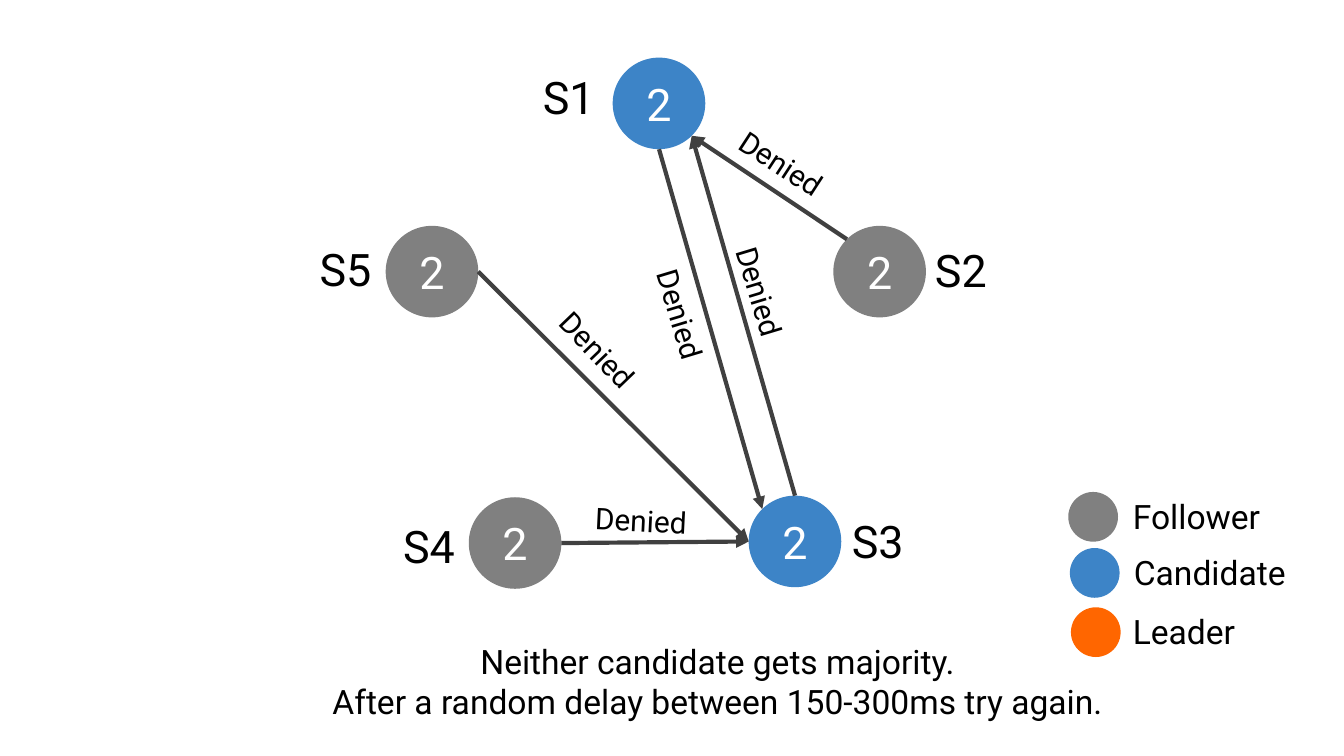
"""Build a slide showing a split vote between two candidate servers."""
from math import cos, radians, sin

from lxml.etree import SubElement
from pptx import Presentation
from pptx.dml.color import RGBColor
from pptx.enum.shapes import MSO_CONNECTOR as Connector, MSO_SHAPE as Shape
from pptx.enum.text import MSO_ANCHOR as Anchor, MSO_AUTO_SIZE as AutoSize, PP_ALIGN as Align
from pptx.oxml.ns import qn
from pptx.util import Cm, Pt

FOLLOWER, CANDIDATE, LEADER = "808080", "3D84C7", "FF6600"
NODE_W, NODE_H, DOT = 1.75, 1.73, 0.94
RIGHT, BOTTOM_RIGHT, BOTTOM, LEFT, TOP_LEFT, TOP = 0, 45, 90, 180, 225, 270

SERVERS = {
    "S1": (11.58, 1.09, CANDIDATE, 10.01, 1.19),
    "S2": (15.75, 4.27, FOLLOWER, 17.42, 4.47),
    "S3": (14.15, 9.37, CANDIDATE, 15.85, 9.58),
    "S4": (8.86, 9.4, FOLLOWER, 7.37, 9.68),
    "S5": (7.29, 4.27, FOLLOWER, 5.79, 4.45),
}
LEGEND = [
    ("Follower", FOLLOWER, 20.19, 9.3, 21.16, 2.97),
    ("Candidate", CANDIDATE, 20.22, 10.36, 21.18, 3.48),
    ("Leader", LEADER, 20.24, 11.48, 21.16, 2.54),
]
REPLIES = [
    ("S2", TOP_LEFT, "S1", BOTTOM_RIGHT, 13.64, 2.64, 33.1),
    ("S5", RIGHT, "S3", LEFT, 10.16, 6.17, 46.1),
    ("S4", RIGHT, "S3", LEFT, 11, 9.37, 2.9),
    ("S1", BOTTOM, "S3", TOP_LEFT, 11.71, 5.51, 73.2),
    ("S3", TOP, "S1", BOTTOM_RIGHT, 13.21, 5.08, 73.2),
]
OUTCOME = "Neither candidate gets majority.\nAfter a random delay between 150-300ms try again."


def color(code):
    return RGBColor.from_string(code)


def rim(server, angle):
    left, top = SERVERS[server][:2]
    turn = radians(angle)
    return left + NODE_W / 2 * (1 + cos(turn)), top + NODE_H / 2 * (1 + sin(turn))


class Diagram:
    def __init__(self, slide, font="Roboto", ink="000000", stroke="404040"):
        self.slide, self.font, self.ink, self.stroke = slide, font, ink, stroke

    def set_words(self, frame, words, size, ink, align):
        frame.text = words
        for paragraph in frame.paragraphs:
            paragraph.alignment = align
            for run in paragraph.runs:
                run.font.name, run.font.size = self.font, Pt(size)
                run.font.color.rgb = color(ink)

    def circle(self, left, top, width, height, fill, term=""):
        disc = self.slide.shapes.add_shape(Shape.OVAL, Cm(left), Cm(top), Cm(width), Cm(height))
        disc.shadow.inherit = False
        disc.fill.solid()
        disc.fill.fore_color.rgb = color(fill)
        disc.line.fill.background()
        if term:
            disc.text_frame.vertical_anchor = Anchor.MIDDLE
            self.set_words(disc.text_frame, term, 24, "FFFFFF", Align.CENTER)

    def label(self, words, left, top, width, height, size, align=Align.LEFT, rotation=0):
        box = self.slide.shapes.add_textbox(Cm(left), Cm(top), Cm(width), Cm(height))
        box.rotation = rotation
        box.text_frame.word_wrap = False
        box.text_frame.auto_size = AutoSize.SHAPE_TO_FIT_TEXT
        self.set_words(box.text_frame, words, size, self.ink, align)

    def arrow(self, start, end):
        link = self.slide.shapes.add_connector(
            Connector.STRAIGHT, *(Cm(length) for length in (*start, *end)))
        link.line.color.rgb = color(self.stroke)
        link.line.width = Pt(2.25)
        properties = link._element.spPr
        SubElement(properties.find(qn("a:ln")), qn("a:tailEnd"), type="triangle")
        SubElement(properties, qn("a:effectLst"))


def main():
    deck = Presentation()
    deck.slide_width, deck.slide_height = Cm(25.4), Cm(14.29)
    diagram = Diagram(deck.slides.add_slide(deck.slide_layouts[6]))

    for server, (left, top, role, name_left, name_top) in SERVERS.items():
        diagram.circle(left, top, NODE_W, NODE_H, role, "2")
        diagram.label(server, name_left, name_top, 1.55, 1.27, 24)
    for role, fill, left, top, name_left, width in LEGEND:
        diagram.circle(left, top, DOT, DOT, fill)
        diagram.label(role, name_left, top - 0.05, width, 1.02, 18)
    for voter, exit_angle, candidate, entry_angle, left, top, rotation in REPLIES:
        diagram.arrow(rim(voter, exit_angle), rim(candidate, entry_angle))
        diagram.label("Denied", left, top, 2.31, 0.94, 16, rotation=rotation)
    diagram.label(OUTCOME, 5.87, 11.99, 15.39, 1.8, 18, Align.CENTER)

    deck.save("out.pptx")


if __name__ == "__main__":
    main()
